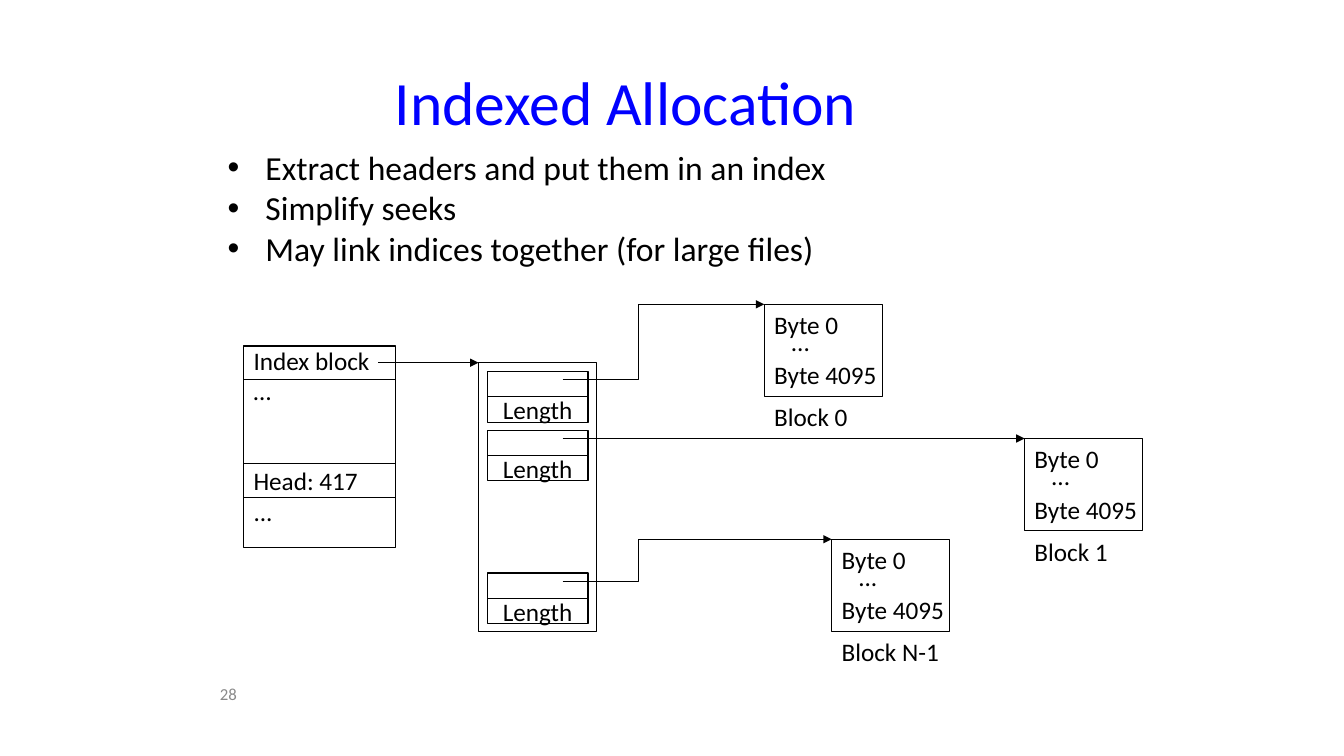
import pptx
import pptx.util
import pptx.dml.color
import pptx.enum.text
import pptx.enum.shapes
import pptx.oxml
import pptx.oxml.ns
import lxml.etree

Cm = pptx.util.Cm
Pt = pptx.util.Pt
ALIGN = pptx.enum.text.PP_ALIGN
ANCHOR = pptx.enum.text.MSO_ANCHOR
RECT = pptx.enum.shapes.MSO_SHAPE.RECTANGLE
STRAIGHT = pptx.enum.shapes.MSO_CONNECTOR.STRAIGHT

COLORS = {"title": "0000FF", "ink": "000000", "number": "898989"}
FONT = "Calibri"

TITLE = "Indexed Allocation"
BULLETS = [
    "Extract headers and put them in an index",
    "Simplify seeks",
    "May link indices together (for large files)",
]
HEADER_LINES = ["Index block", "…", "Head: 417", "..."]
HEADER_GAPS = {2: 43}
HEADER_BOX = (6.14, 8.72, 3.82, 5.08)
HEADER_DIVIDERS = [9.57, 11.68, 12.53]

INDEX_BOX = (12.06, 9.14, 2.97, 6.78)
ENTRY_X, ENTRY_W, ENTRY_H = 12.28, 2.54, 0.64
POINTER_X, POINTER_BEND, POINTER_DROP = 14.18, 16.09, 0.21

BLOCK_W, BLOCK_H = 2.97, 2.33
BLOCKS = [
    ("Block 0", 19.26, 7.67, 9.36),
    ("Block 1", 25.82, 11.05, 10.84),
    ("Block N-1", 20.96, 13.59, 14.44),
]
BLOCK_LINES = [("Byte 0", 0, 0, 2.18), ("Byte 4095", 0, 1.27, 3.25), ("...", 0.42, 0.42, 1)]
BLOCK_NAME_W = 3


def rgb(name):
    return pptx.dml.color.RGBColor.from_string(COLORS[name])


def write(sp, lines, size=18, color="ink", align=ALIGN.LEFT, anchor=ANCHOR.TOP,
          wrap=False, bullet=False, gaps=None):
    tf = sp.text_frame
    tf.word_wrap = wrap
    tf.vertical_anchor = anchor
    for i, text in enumerate(lines):
        p = tf.paragraphs[0] if i == 0 else tf.add_paragraph()
        p.alignment = align
        if gaps and i in gaps:
            p.space_before = Pt(gaps[i])
        if bullet:
            pPr = p._p.get_or_add_pPr()
            pPr.set("marL", str(Cm(0.95)))
            pPr.set("indent", str(-Cm(0.95)))
            font = lxml.etree.SubElement(pPr, pptx.oxml.ns.qn("a:buFont"))
            font.set("typeface", "Arial")
            mark = lxml.etree.SubElement(pPr, pptx.oxml.ns.qn("a:buChar"))
            mark.set("char", "•")
        r = p.add_run()
        r.text = text
        r.font.name = FONT
        r.font.size = Pt(size)
        r.font.color.rgb = rgb(color)
    return sp


def text_box(x, y, w, h, lines, **style):
    return write(s.shapes.add_textbox(Cm(x), Cm(y), Cm(w), Cm(h)), lines, **style)


def outline(sp):
    sp.line.color.rgb = rgb("ink")
    sp.line.width = Pt(0.75)


def rect(shapes, x, y, w, h):
    sp = shapes.add_shape(RECT, Cm(x), Cm(y), Cm(w), Cm(h))
    sp.shadow.inherit = False
    sp.fill.background()
    outline(sp)
    return sp


def add_arrowhead(sp):
    tail = lxml.etree.SubElement(sp.line._get_or_add_ln(), pptx.oxml.ns.qn("a:tailEnd"))
    tail.set("type", "triangle")


def line(x1, y1, x2, y2, arrow=False):
    c = s.shapes.add_connector(STRAIGHT, Cm(x1), Cm(y1), Cm(x2), Cm(y2))
    outline(c)
    if arrow:
        add_arrowhead(c)
    lxml.etree.SubElement(c._element.spPr, pptx.oxml.ns.qn("a:effectLst"))


def elbow_arrow(x1, y1, x2, y2):
    builder = s.shapes.build_freeform(Cm(x1), Cm(y1))
    bends = [(POINTER_BEND, y1), (POINTER_BEND, y2), (x2, y2)]
    builder.add_line_segments([(Cm(x), Cm(y)) for x, y in bends], close=False)
    sp = builder.convert_to_shape()
    sp.shadow.inherit = False
    sp.fill.background()
    outline(sp)
    add_arrowhead(sp)


prs = pptx.Presentation()
prs.slide_width, prs.slide_height = Cm(33.87), Cm(19.05)
s = prs.slides.add_slide(prs.slide_layouts[5])

title = s.shapes.title
title.left, title.top, title.width, title.height = Cm(5.08), Cm(0.64), Cm(21.38), Cm(3.81)
write(title, [TITLE], size=44, color="title", align=ALIGN.CENTER,
      anchor=ANCHOR.MIDDLE, wrap=True)
text_box(5.49, 3.58, 22.83, 5.08, BULLETS, size=24, wrap=True, bullet=True)

x, y, w, h = HEADER_BOX
text_box(x, 8.57, 3.53, 4.83, HEADER_LINES, gaps=HEADER_GAPS)
rect(s.shapes, *HEADER_BOX)
for divider in HEADER_DIVIDERS:
    line(x, divider, x + w, divider)

rect(s.shapes, *INDEX_BOX)
line(9.53, INDEX_BOX[1], INDEX_BOX[0], INDEX_BOX[1], arrow=True)

for name, x, y, entry_y in BLOCKS:
    rect(s.shapes, x, y, BLOCK_W, BLOCK_H)
    for text, dx, dy, text_w in BLOCK_LINES + [(name, 0, BLOCK_H, BLOCK_NAME_W)]:
        text_box(x + dx, y + dy, text_w, 1.02, [text])

    entry = s.shapes.add_group_shape().shapes
    rect(entry, ENTRY_X, entry_y, ENTRY_W, ENTRY_H)
    write(rect(entry, ENTRY_X, entry_y + ENTRY_H, ENTRY_W, ENTRY_H), ["Length"],
          align=ALIGN.CENTER, anchor=ANCHOR.MIDDLE)

    start_y = entry_y + POINTER_DROP
    if abs(start_y - y) < 0.01:
        line(POINTER_X, y, x, y, arrow=True)
    else:
        elbow_arrow(POINTER_X, start_y, x, y)

text_box(5.29, 16.97, 2.74, 1.02, ["28"], size=12, color="number",
         anchor=ANCHOR.MIDDLE, wrap=True)

prs.save("out.pptx")
